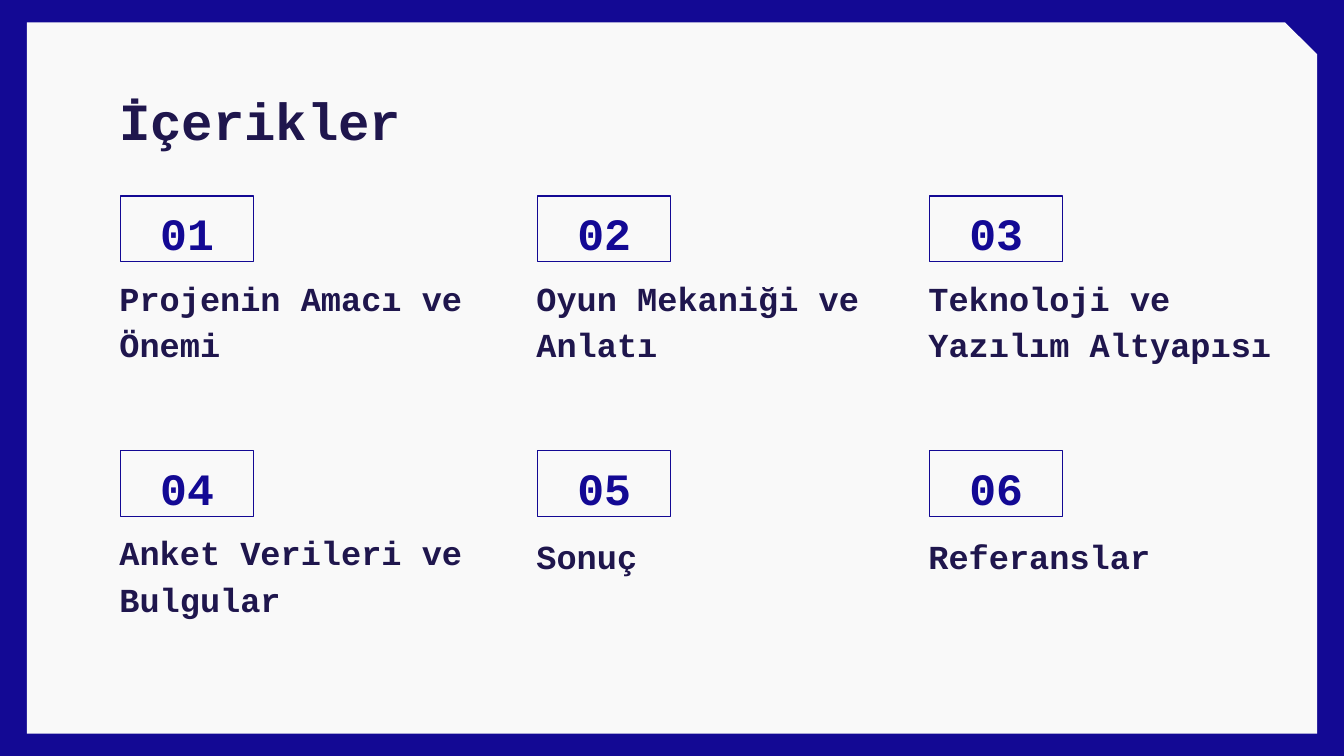
import pptx
import pptx.dml.color
import pptx.enum.shapes
import pptx.enum.text
import pptx.util

SHAPES = pptx.enum.shapes.MSO_SHAPE
ANCHOR = pptx.enum.text.MSO_ANCHOR
ALIGN = pptx.enum.text.PP_ALIGN

# Widescreen slide, 16 to 9
WIDTH = pptx.util.Inches(10)
HEIGHT = WIDTH * 9 // 16
BLUE, NAVY, PAPER = "130994", "1F164D", "F9F9F9"

# Grid of topics, in percent of the slide's width and height
COLUMNS = (7.9, 38.93, 68.1)
FIRST_ROW, ROW_STEP = 25.92, 33.68
CARD_WIDTH = 31
ONE_LINE, TWO_LINES = 9.25, 14.93

TOPICS = (
    ("Projenin Amacı ve Önemi", TWO_LINES),
    ("Oyun Mekaniği ve Anlatı", TWO_LINES),
    ("Teknoloji ve Yazılım Altyapısı", TWO_LINES),
    ("Anket Verileri ve Bulgular", TWO_LINES),
    ("Sonuç", ONE_LINE),
    ("Referanslar", ONE_LINE),
)


def color(value):
    return pptx.dml.color.RGBColor.from_string(value)


def place(left, top, width, height):
    """Turn percentages of the slide into lengths."""
    return [int(share * full / 100) for share, full in
            ((left, WIDTH), (top, HEIGHT), (width, WIDTH), (height, HEIGHT))]


def add_rectangle(slide, box, kind=SHAPES.RECTANGLE, fill=None, line=None):
    shape = slide.shapes.add_shape(kind, *place(*box))
    shape.shadow.inherit = False
    if fill:
        shape.fill.solid()
        shape.fill.fore_color.rgb = color(fill)
    else:
        shape.fill.background()
    if line:
        shape.line.color.rgb = color(line)
        shape.line.width = pptx.util.Pt(0.75)
    else:
        shape.line.fill.background()
    return shape


def write(shape, text, size=18, ink=NAVY, align=ALIGN.LEFT, anchor=ANCHOR.TOP):
    frame = shape.text_frame
    frame.word_wrap = True
    frame.vertical_anchor = anchor
    frame.margin_left = frame.margin_right = pptx.util.Inches(0.1)
    frame.margin_top = frame.margin_bottom = pptx.util.Inches(0.1)
    paragraph = frame.paragraphs[0]
    paragraph.alignment = align
    paragraph.line_spacing = 1.15
    run = paragraph.add_run()
    run.text = text
    run.font.name = "Courier New"
    run.font.size = pptx.util.Pt(size)
    run.font.bold = True
    run.font.color.rgb = color(ink)


def add_background(slide, box):
    slide.background.fill.solid()
    slide.background.fill.fore_color.rgb = color(BLUE)
    panel = add_rectangle(slide, box, SHAPES.SNIP_1_RECTANGLE, fill=PAPER)
    panel.adjustments[0] = 0.045


def add_heading(slide, box):
    write(slide.shapes.add_textbox(*place(*box)), "İçerikler", size=28)


def add_topic(slide, box, number, text):
    left, top, width, text_height = box
    # Framed number, aligned with the text inside the label below it
    frame = add_rectangle(slide, (left + 1.07, top, 9.9, 8.72), line=BLUE)
    write(frame, f"{number:02}", size=24, ink=BLUE,
          align=ALIGN.CENTER, anchor=ANCHOR.MIDDLE)
    # Label
    label = slide.shapes.add_textbox(*place(left, top + 9.1, width, text_height))
    write(label, text, anchor=ANCHOR.BOTTOM)


def main():
    presentation = pptx.Presentation()
    presentation.slide_width, presentation.slide_height = WIDTH, HEIGHT
    slide = presentation.slides.add_slide(presentation.slide_layouts[6])

    add_background(slide, (2, 2.96, 96, 94.08))
    add_heading(slide, (7.9, 8.72, 84.3, 11.2))
    for index, (text, text_height) in enumerate(TOPICS):
        row, column = divmod(index, len(COLUMNS))
        box = (COLUMNS[column], FIRST_ROW + row * ROW_STEP, CARD_WIDTH, text_height)
        add_topic(slide, box, index + 1, text)

    presentation.save("out.pptx")


if __name__ == "__main__":
    main()
